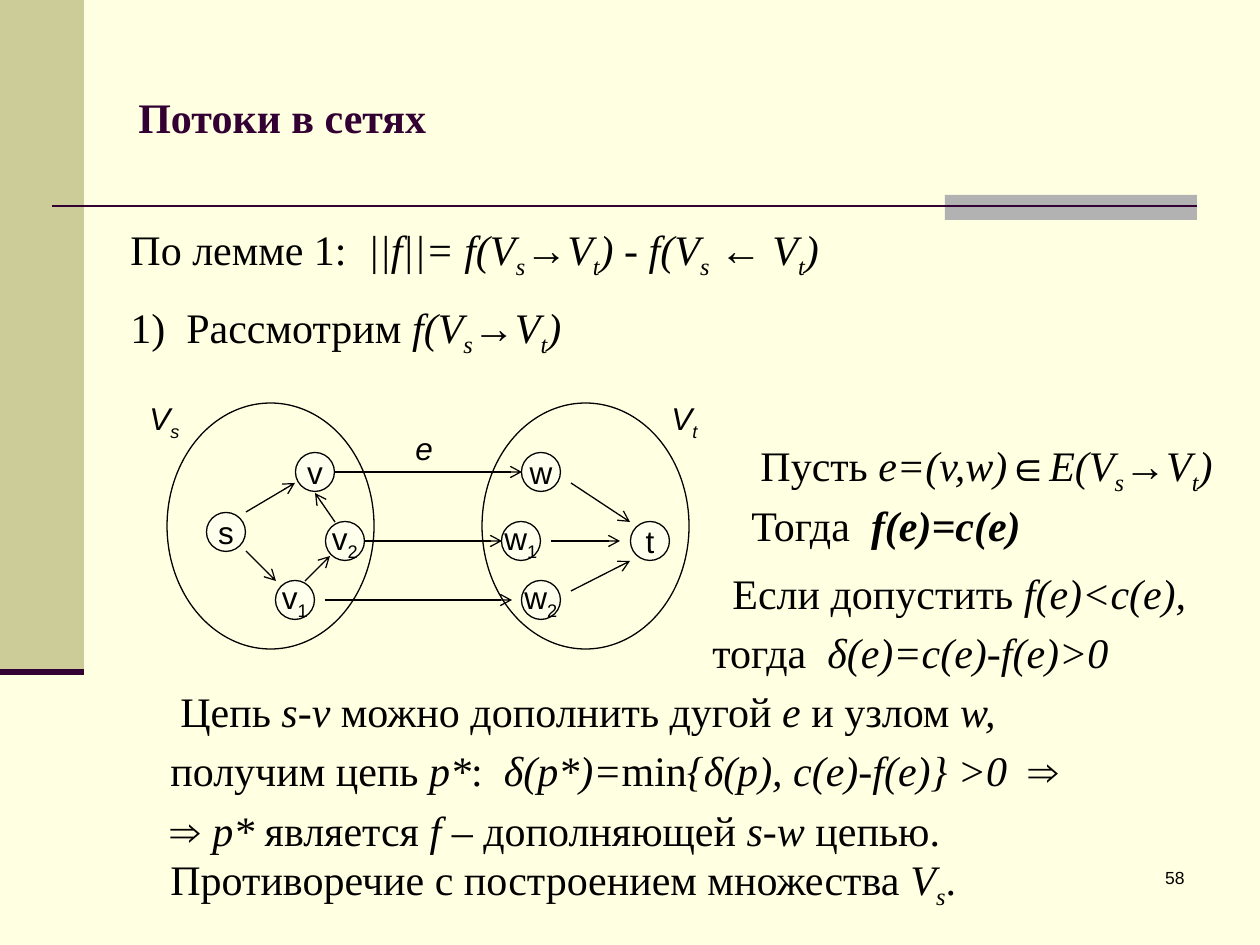
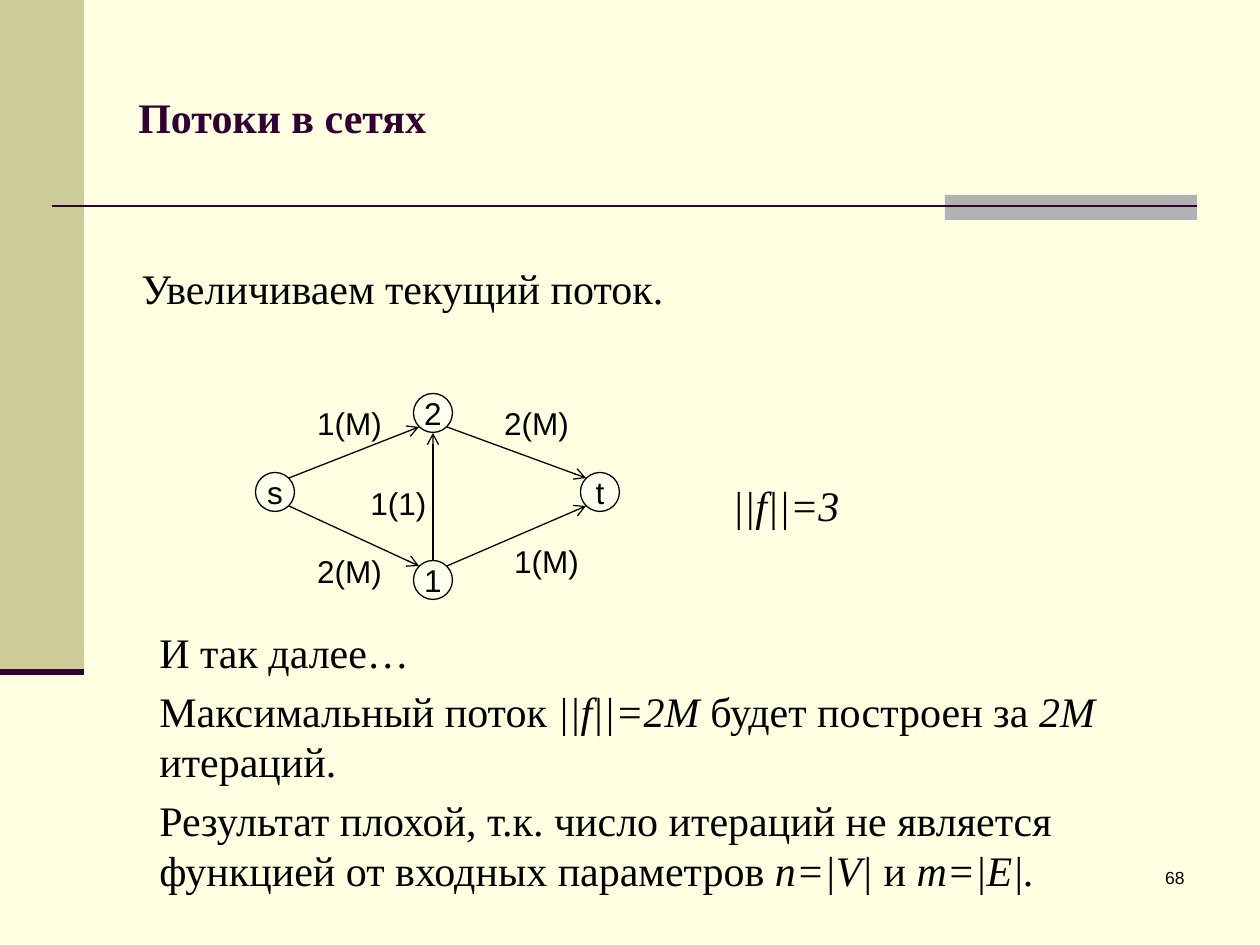
from lxml.etree import SubElement
from pptx import Presentation
from pptx.dml.color import RGBColor
from pptx.enum.shapes import MSO_CONNECTOR as Conn, MSO_SHAPE as Form
from pptx.enum.text import MSO_ANCHOR as Anchor, PP_ALIGN as Align
from pptx.oxml.ns import qn
from pptx.util import Emu, Pt

SCALE = 914400 / 126
SERIF, SANS = "Times New Roman", "Arial"
PAPER, DISC, INK = "FFFFE1", "FFFFEE", "000000"
PLUM, OLIVE, GREY = "330033", "CCCC99", "B2B2B2"
NODE = 39
MARKS = "/_^`"  # toggles: italic, subscript, bold, sans font


def px(*nums):
    return [Emu(round(n * SCALE)) for n in nums]


def rgb(code):
    return RGBColor.from_string(code)


# Text
def split(text):
    """Yield each piece of text with the set of marks that apply to it."""
    on, piece = set(), ""
    for char in text:
        if char in MARKS:
            if piece:
                yield piece, set(on)
            on ^= {char}
            piece = ""
        else:
            piece += char
    if piece:
        yield piece, on


def write(frame, text, font=SERIF, size=24, color=INK, bold=False,
          align=Align.LEFT, anchor=Anchor.TOP, wrap=True):
    frame.word_wrap = wrap
    frame.vertical_anchor = anchor
    para = frame.paragraphs[0]
    para.alignment = align
    for piece, on in split(text):
        run = para.add_run()
        run.text = piece
        face = run.font
        face.name = SANS if "`" in on else font
        face.size = Pt(size)
        face.color.rgb = rgb(color)
        face.bold = bold or "^" in on
        face.italic = "/" in on
        if "_" in on:
            run._r.get_or_add_rPr().set("baseline", "-25000")


def box(slide, x, y, w, h, text, **fmt):
    write(slide.shapes.add_textbox(*px(x, y, w, h)).text_frame, text, **fmt)


def label(slide, x, y, text):
    box(slide, x, y, 65, 50, text, font=SANS, size=18)


# Shapes and lines
def shape(slide, form, x, y, w, h, fill, line=None, text=""):
    item = slide.shapes.add_shape(form, *px(x, y, w, h))
    item.shadow.inherit = False
    item.fill.solid()
    item.fill.fore_color.rgb = rgb(fill)
    if line:
        item.line.color.rgb = rgb(line)
        item.line.width = Pt(0.75)
    else:
        item.line.fill.background()
    if text:
        write(item.text_frame, text, font=SANS, size=18, wrap=False,
              align=Align.CENTER, anchor=Anchor.MIDDLE)


def rule(slide, x1, y1, x2, y2, color=INK, width=0.75):
    item = slide.shapes.add_connector(Conn.STRAIGHT, *px(x1, y1, x2, y2))
    item.line.color.rgb = rgb(color)
    item.line.width = Pt(width)
    SubElement(item._element.spPr, qn("a:effectLst"))
    return item


def arrow(slide, *ends):
    item = rule(slide, *ends)
    SubElement(item.line._get_or_add_ln(), qn("a:tailEnd"), type="arrow")


def node(slide, x, y, text):
    """Draw a graph node around its centre."""
    shape(slide, Form.FLOWCHART_CONNECTOR, x - NODE / 2, y - NODE / 2,
          NODE, NODE, DISC, INK, text)


def tag(slide, x, y, text):
    shape(slide, Form.RECTANGLE, x, y, 49, 39, PAPER, text=text)


# Shared frame: background, bands, title, page number
def start(deck, page):
    slide = deck.slides.add_slide(deck.slide_layouts[6])
    back = slide.background.fill
    back.solid()
    back.fore_color.rgb = rgb(PAPER)
    shape(slide, Form.RECTANGLE, 0, 0, 84, 672, OLIVE)
    shape(slide, Form.RECTANGLE, 945, 195, 252, 25, GREY)
    rule(slide, 52, 206, 1197, 206, PLUM, 1.5)
    rule(slide, 0, 672, 84, 672, PLUM, 3.5)
    box(slide, 126, 38, 1071, 157, "Потоки в сетях", color=PLUM, bold=True,
        anchor=Anchor.MIDDLE)
    box(slide, 935, 861, 262, 63, page, font=SANS, size=10,
        align=Align.RIGHT)
    return slide


def lemma(deck):
    slide = start(deck, "58")
    box(slide, 118, 217, 1063, 63,
        "По лемме 1:  /||f||= f(V_s_→V_t_) - f(V_s_ ← V_t_)")
    box(slide, 118, 295, 1092, 63, "1)  Рассмотрим /f(V_s_→V_t_)")

    # The two vertex sets
    for x in (167, 482):
        shape(slide, Form.OVAL, x, 403, 207, 246, PAPER, INK)
    for x, text in ((137, "/V_s"), (659, "/V_t")):
        label(slide, x, 393, text)

    # Nodes and arcs
    for x, y, text in (
            (226, 532, "s"), (650, 541, "t"), (315, 472, "v"),
            (541, 472, "w"), (345, 541, "v_2"), (295, 600, "v_1"),
            (521, 541, "w_1"), (541, 600, "w_2")):
        node(slide, x, y, text)
    for ends in (
            (335, 472, 522, 472), (364, 541, 502, 541), (325, 600, 512, 600),
            (246, 512, 295, 483), (246, 551, 276, 581), (305, 581, 330, 556),
            (335, 522, 315, 493), (571, 483, 630, 522), (551, 541, 620, 541),
            (571, 591, 630, 561)):
        arrow(slide, *ends)
    label(slide, 403, 423, "/e")

    # Argument beside and below the graph
    for x, y, w, text in (
            (748, 433, 483, "Пусть /e=(v,w)∈E(V_s_→V_t_)"),
            (739, 493, 483, "Тогда  /^f(e)=c(e)"),
            (720, 561, 522, "Если допустить /f(e)<с(e),"),
            (700, 620, 452, "тогда  /δ(e)=с(e)-f(e)>0"),
            (168, 679, 1043,
             "Цепь /s-v /можно дополнить дугой /e /и узлом /w,"),
            (158, 738, 1043, "получим цепь /p*/:  /δ(p*)=/min"
             "/{δ(p), с(e)-f(e)} >0  /`⇒"),
            (158, 798, 1043,
             "`⇒ `/p* /является/ f /– дополняющей /s-w /цепью."),
            (158, 847, 1043,
             "Противоречие с построением множества /V_s_/.")):
        box(slide, x, y, w, 63, text)


def growth(deck):
    slide = start(deck, "68")
    box(slide, 129, 256, 1063, 63, "Увеличиваем текущий поток.")

    # Network: arcs leave and enter the nodes on their diagonals
    spots = {"s": (275, 492), "2": (433, 413), "1": (433, 580),
             "t": (600, 492)}
    for name, (x, y) in spots.items():
        node(slide, x, y, name)
    diag = 14
    for tail, head in ("s2", "2t", "s1", "1t"):
        (x1, y1), (x2, y2) = spots[tail], spots[head]
        dy = diag if y2 > y1 else -diag
        arrow(slide, x1 + diag, y1 + dy, x2 - diag, y2 - dy)
    arrow(slide, 433, 561, 433, 433)
    for x, y, text in (
            (325, 403, "1(M)"), (325, 551, "2(M)"), (522, 541, "1(M)"),
            (512, 403, "2(M)"), (374, 483, "1(1)")):
        tag(slide, x, y, text)

    # Flow value and conclusion
    for x, y, w, h, text in (
            (720, 473, 145, 63, "/||f||=3"),
            (147, 620, 945, 63, "И так далее…"),
            (147, 679, 1014, 115, "Максимальный поток /||f||=2М /"
             "будет построен за /2М/ итераций."),
            (147, 788, 994, 115, "Результат плохой, т.к. число итераций не "
             "является функцией от входных параметров /n=|V| /и /m=|E|.")):
        box(slide, x, y, w, h, text)


def main():
    deck = Presentation()
    deck.slide_width, deck.slide_height = px(1260, 945)
    lemma(deck)
    growth(deck)
    deck.save("out.pptx")


if __name__ == "__main__":
    main()
